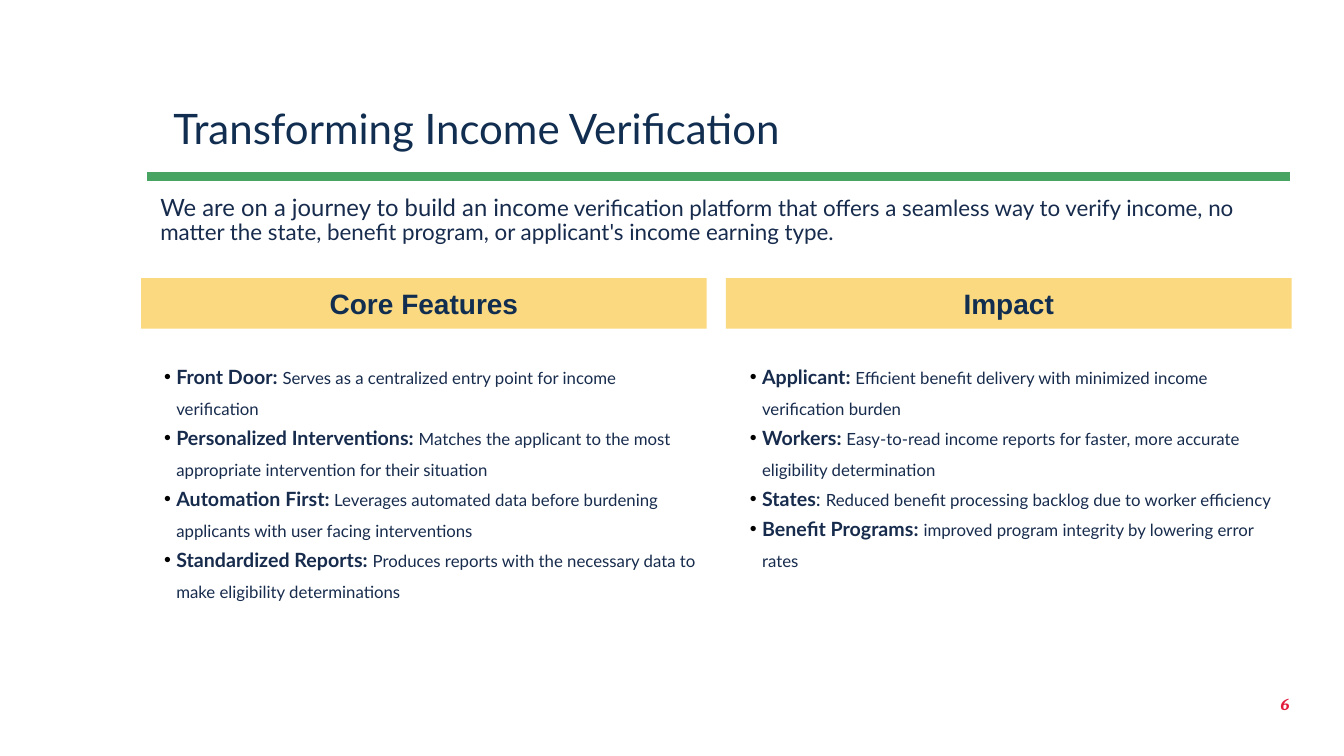
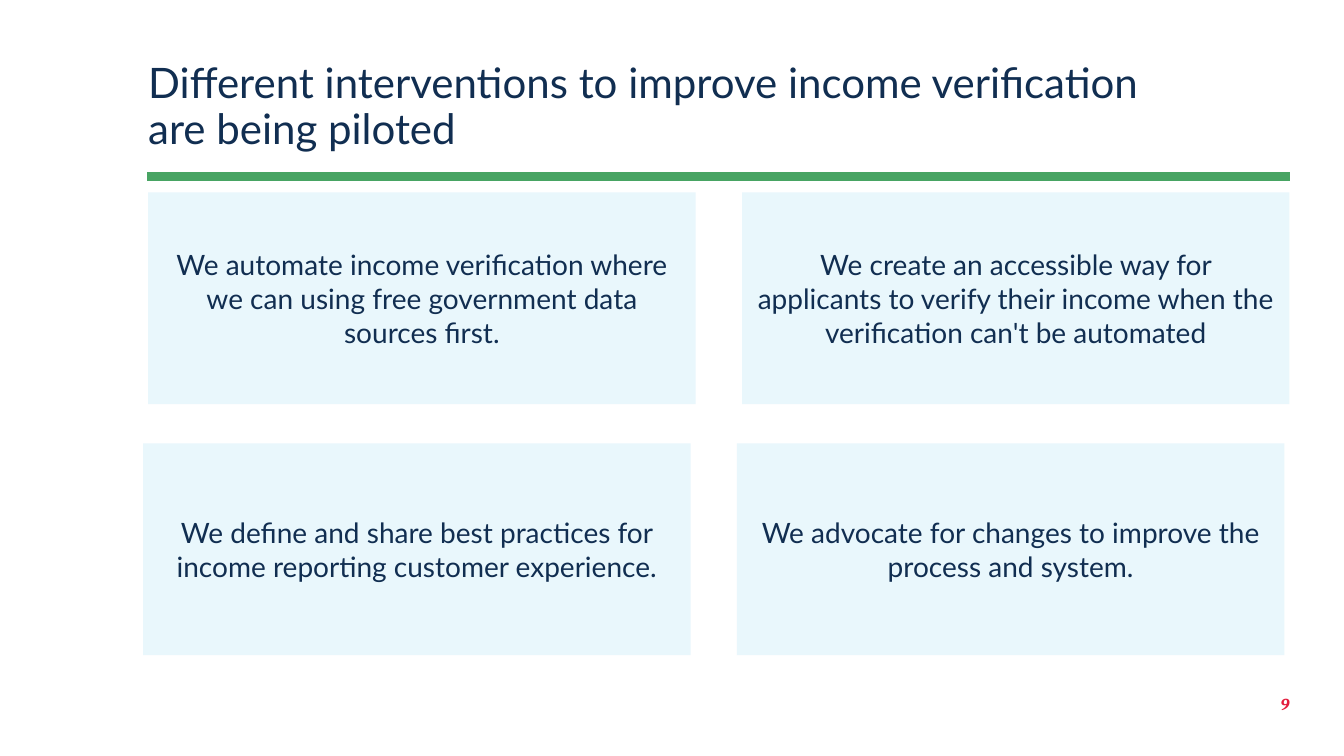
from dataclasses import dataclass

from lxml.etree import SubElement as Sub
from pptx import Presentation
from pptx.dml.color import RGBColor as Rgb
from pptx.enum.shapes import MSO_CONNECTOR as Link, MSO_SHAPE as Form
from pptx.enum.text import MSO_ANCHOR as Anchor, PP_ALIGN as Align
from pptx.oxml.ns import qn
from pptx.util import Inches, Pt

# Shared look
WIDE, HIGH = 13.33, 7.5
NAVY, INK, GREEN, RED = "112E51", "172B4D", "48A463", "E31C3D"
GOLD, SKY, BLACK = "FAD980", "E9F7FC", "000000"
SANS, HEAD, SERIF = "Lato", "Arial", "Cambria"
LEFT, RIGHT = 1.47, 12.79


@dataclass(frozen=True)
class Box:
    x: float
    y: float
    w: float
    h: float

    def place(self) -> tuple:
        return tuple(Inches(v) for v in (self.x, self.y, self.w, self.h))


@dataclass(frozen=True)
class Grid:
    first: Box
    gap: float
    drop: float = 0
    skew: float = 0

    def cell(self, col: int, row: int = 0) -> Box:
        f = self.first
        return Box(f.x + col * (f.w + self.gap) + row * self.skew,
                   f.y + row * (f.h + self.drop), f.w, f.h)


@dataclass(frozen=True)
class Span:
    text: str
    size: float
    color: str = NAVY
    bold: bool = False
    font: str = SANS
    slant: bool = False


@dataclass(frozen=True)
class Panel:
    head: str
    items: tuple[tuple[Span, ...], ...]


TITLE = Box(LEFT, 0.51, 10.16, 1.11)
INTRO = Box(LEFT, 1.94, RIGHT - LEFT, 0.7)
PAGE = Box(RIGHT - 3, 6.85, 3, 0.23)
HEADS = Grid(Box(1.4, 2.76, 5.61, 0.5), 0.19)
LISTS = Grid(Box(1.4, 3.5, 5.61, 2.23), 0.2)
CARDS = Grid(Box(LEFT, 1.91, 5.43, 2.1), 0.46, 0.39, -0.05)


def paint(code: str) -> Rgb:
    return Rgb.from_string(code)


def write(para, spans: tuple[Span, ...]) -> None:
    para.text = spans[0].text
    for span in spans[1:]:
        para.add_run().text = span.text
    for run, span in zip(para.runs, spans):
        font = run.font
        font.name, font.size = span.font, Pt(span.size)
        font.bold, font.italic = span.bold, span.slant
        font.color.rgb = paint(span.color)


def setup(frame, anchor, pads: tuple[float, ...]) -> None:
    frame.word_wrap = True
    frame.vertical_anchor = anchor
    (frame.margin_left, frame.margin_top,
     frame.margin_right, frame.margin_bottom) = map(Inches, pads)


def indent(para, left: float, hang: float = 0) -> None:
    props = para._p.get_or_add_pPr()
    props.set("marL", str(Inches(left)))
    props.set("indent", str(Inches(hang)))


def bullet(para) -> None:
    indent(para, 0.25, -0.12)
    props = para._p.get_or_add_pPr()
    Sub(Sub(props, qn("a:buClr")), qn("a:srgbClr")).set("val", BLACK)
    Sub(props, qn("a:buFont")).set("typeface", HEAD)
    Sub(props, qn("a:buChar")).set("char", "•")


def label(slide, box: Box, spans: tuple[Span, ...], anchor=Anchor.TOP,
          pads: tuple[float, ...] = (0, 0, 0, 0)):
    frame = slide.shapes.add_textbox(*box.place()).text_frame
    setup(frame, anchor, pads)
    para = frame.paragraphs[0]
    write(para, spans)
    return para


def prose(para, left: float) -> None:
    para.line_spacing, para.space_before = 0.9, Pt(10)
    indent(para, left)


def block(slide, box: Box, fill: str, span: Span,
          pads: tuple[float, ...]) -> None:
    shape = slide.shapes.add_shape(Form.RECTANGLE, *box.place())
    shape.shadow.inherit = False
    shape.fill.solid()
    shape.fill.fore_color.rgb = paint(fill)
    shape.line.fill.background()
    setup(shape.text_frame, Anchor.MIDDLE, pads)
    para = shape.text_frame.paragraphs[0]
    write(para, (span,))
    para.alignment = Align.CENTER


def listing(slide, box: Box, items: tuple[tuple[Span, ...], ...]) -> None:
    frame = slide.shapes.add_textbox(*box.place()).text_frame
    setup(frame, Anchor.TOP, (0.1, 0.05, 0.1, 0.05))
    for i, spans in enumerate(items):
        para = frame.add_paragraph() if i else frame.paragraphs[0]
        write(para, spans)
        para.line_spacing = Pt(21.8)
        bullet(para)


def start(deck, title: str, page: str, inset: float = 0):
    """Add a slide with its rule, page number and title."""
    slide = deck.slides.add_slide(deck.slide_layouts[6])
    ends = (1.46, 1.75, RIGHT, 1.75)
    rule = slide.shapes.add_connector(Link.STRAIGHT, *map(Inches, ends))
    rule.line.color.rgb = paint(GREEN)
    rule.line.width = Pt(6)
    Sub(rule._element.spPr, qn("a:effectLst"))
    num = label(slide, PAGE, (Span(page, 12, RED, True, SERIF, True),),
                Anchor.BOTTOM)
    num.alignment = Align.RIGHT
    prose(label(slide, TITLE, (Span(title, 30),), Anchor.BOTTOM,
                (0, 0, 0, 0.1)), inset)
    return slide


def lead(text: str) -> Span:
    return Span(text, 14, INK, True)


def note(text: str, size: float = 12) -> Span:
    return Span(text, size, INK)


# Slide content
OPENING = (
    note("We are on a journey to build an incom", 17),
    note("e verification platform that offers a seamless way to verify "
         "income, no matter the state, benefit program, or applicant's "
         "income earning type.", 16),
)
PANELS = (
    Panel("Core Features", (
        (lead("Front Door: "),
         note("Serves as a centralized entry point for income verification")),
        (lead("Personalized Interventions: "),
         note("Matches the applicant to the most appropriate intervention "
              "for their situation")),
        (lead("Automation First:"),
         note(" Leverages automated data before burdening applicants with "
              "user facing interventions")),
        (lead("Standardized Reports: "),
         note("Produces reports with the necessary data to make eligibility "
              "determinations")),
    )),
    Panel("Impact", (
        (lead("Applicant: "),
         note("Efficient benefit delivery with minimized income "
              "verification burden")),
        (lead("Workers: "),
         note("Easy-to-read income reports for faster, more accurate "
              "eligibility determination")),
        (lead("States"), note(": ", 14),
         note("Reduced benefit processing backlog due to worker efficiency")),
        (lead("Benefit Programs: "),
         note("improved program integrity by lowering error rates")),
    )),
)
PILOTS = (
    "We automate income verification where we can using free government "
    "data sources first.",
    "We create an accessible way for applicants to verify their income "
    "when the verification can't be automated",
    "We define and share best practices for income reporting customer "
    "experience.",
    "We advocate for changes to improve the process and system.",
)


def main() -> None:
    deck = Presentation()
    deck.slide_width, deck.slide_height = Inches(WIDE), Inches(HIGH)

    # Features and impact
    slide = start(deck, "Transforming Income Verification", "6", 0.25)
    prose(label(slide, INTRO, OPENING), 0.12)
    for col, panel in enumerate(PANELS):
        block(slide, HEADS.cell(col), GOLD,
              Span(panel.head, 20, bold=True, font=HEAD),
              (0.1, 0.05, 0.1, 0.05))
        listing(slide, LISTS.cell(col), panel.items)

    # Pilot cards
    slide = start(deck, "Different interventions to improve income "
                        "verification are being piloted", "9")
    for i, text in enumerate(PILOTS):
        row, col = divmod(i, 2)
        block(slide, CARDS.cell(col, row), SKY, Span(text, 20), (0.13,) * 4)

    deck.save("out.pptx")


if __name__ == "__main__":
    main()
